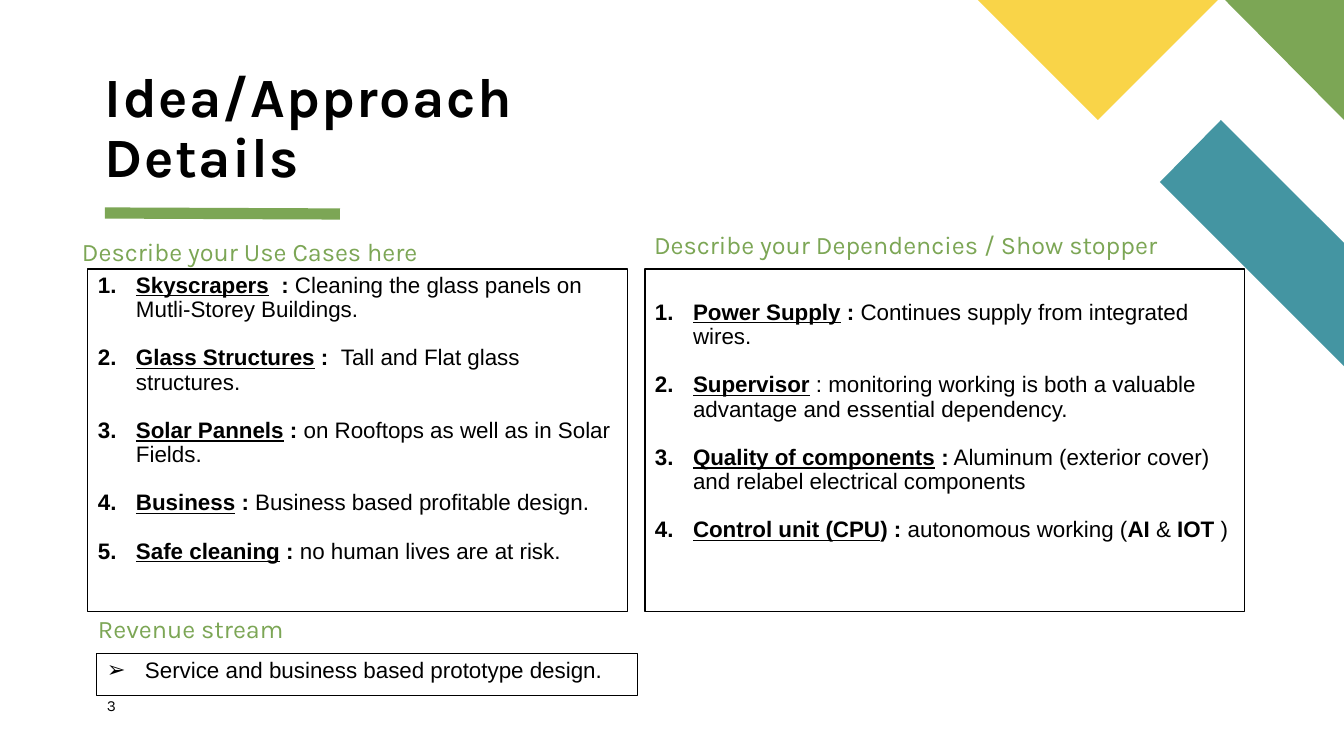
from lxml.etree import SubElement
from pptx import Presentation
from pptx.dml.color import RGBColor as RGB
from pptx.enum.shapes import MSO_CONNECTOR as CONN, MSO_SHAPE as SHAPE
from pptx.enum.text import MSO_ANCHOR as ANCHOR, PP_ALIGN as ALIGN
from pptx.oxml.ns import qn
from pptx.util import Pt

PX = 914400 / 100.8
COLORS = {"green": "7CA655", "teal": "4495A2", "yellow": "F9D448", "black": "000000"}

USE_CASES = [
    [("Skyscrapers", "bu"), ("  :", "b"), (" Cleaning the glass panels on Mutli-Storey Buildings.", "")],
    [("Glass Structures", "bu"), (" :  ", "b"), ("Tall and Flat glass structures.", "")],
    [("Solar Pannels", "bu"), (" : ", "b"), ("on Rooftops as well as in Solar Fields.", "")],
    [("Business", "bu"), (" : ", "b"), ("Business based profitable design.", "")],
    [("Safe cleaning", "bu"), (" : ", "b"), ("no human lives are at risk.", "")],
]
DEPENDENCIES = [
    [("Power Supply", "bu"), (" : ", "b"), ("Continues supply from integrated wires.", "")],
    [("Supervisor", "bu"), (" : monitoring working is both a valuable advantage and essential dependency.", "")],
    [("Quality of components", "bu"), (" :", "b"),
     (" Aluminum (exterior cover) and relabel electrical components", "")],
    [("Control unit (CPU", "bu"), (") : ", "b"), ("autonomous working (", ""),
     ("AI ", "b"), ("& ", ""), ("IOT ", "b"), (")", "")],
]
REVENUE = [[("Service and business based prototype design.", "")]]


def emu(px):
    return round(px * PX)


def rgb(name):
    return RGB.from_string(COLORS[name])


class Deck:
    heading_font = "Karla"
    body_font = "Arial"

    def __init__(self, width, height):
        self.prs = Presentation()
        self.prs.slide_width, self.prs.slide_height = emu(width), emu(height)
        self.s = self.prs.slides.add_slide(self.prs.slide_layouts[6])

    def polygon(self, points, color):
        fb = self.s.shapes.build_freeform(*points[0], scale=PX)
        fb.add_line_segments(points[1:], close=True)
        sp = fb.convert_to_shape()
        sp.shadow.inherit = False
        sp.fill.solid()
        sp.fill.fore_color.rgb = rgb(color)
        sp.line.fill.background()

    def bar(self, x1, y1, x2, y2, color, weight):
        c = self.s.shapes.add_connector(CONN.STRAIGHT, *map(emu, (x1, y1, x2, y2)))
        c.line.color.rgb = rgb(color)
        c.line.width = Pt(weight)
        SubElement(c._element.spPr, qn("a:effectLst"))

    def frame(self, sp, side, top, anchor=ANCHOR.TOP):
        tf = sp.text_frame
        tf.word_wrap = True
        tf.vertical_anchor = anchor
        tf.margin_left = tf.margin_right = emu(side)
        tf.margin_top = tf.margin_bottom = emu(top)
        return tf

    def font(self, r, name, size, color="black", bold=False, underline=False):
        f = r.font
        f.name, f.size, f.bold, f.underline = name, Pt(size), bold, underline
        f.color.rgb = rgb(color)

    def text(self, x, y, w, h, text, size, color="black", bold=False,
             side=0, top=0, anchor=ANCHOR.TOP, tracking=0):
        sp = self.s.shapes.add_textbox(*map(emu, (x, y, w, h)))
        tf = self.frame(sp, side, top, anchor)
        tf.text = text
        p = tf.paragraphs[0]
        p.line_spacing = 0.9
        r = p.runs[0]
        self.font(r, self.heading_font, size, color, bold)
        if tracking:
            r._r.get_or_add_rPr().set("spc", str(tracking))

    def heading(self, x, y, w, text):
        self.text(x, y, w, 35, text, 18, "green", side=10, top=5)

    def list_box(self, x, y, w, h, items, bullet=None, top=5):
        sp = self.s.shapes.add_shape(SHAPE.RECTANGLE, *map(emu, (x, y, w, h)))
        sp.shadow.inherit = False
        sp.fill.background()
        sp.line.color.rgb = rgb("black")
        sp.line.width = Pt(0.75)
        tf = self.frame(sp, 10, top)
        for i, item in enumerate(items):
            p = tf.add_paragraph() if i else tf.paragraphs[0]
            p.alignment = ALIGN.LEFT
            p.line_spacing = 0.9
            p.space_before = Pt(17.3 if i else 0)
            self.bullet(p, bullet)
            for text, style in item:
                r = p.add_run()
                r.text = text
                self.font(r, self.body_font, 16, bold="b" in style, underline="u" in style)

    def bullet(self, p, char):
        pPr = p._p.get_or_add_pPr()
        pPr.set("marL", str(emu(38)))
        pPr.set("indent", str(-emu(38)))
        clr = SubElement(pPr, qn("a:buClr"))
        SubElement(clr, qn("a:srgbClr"), val=COLORS["black"])
        SubElement(pPr, qn("a:buFont"), typeface=self.body_font)
        if char:
            SubElement(pPr, qn("a:buChar"), char=char)
        else:
            SubElement(pPr, qn("a:buAutoNum"), type="arabicPeriod")


def main():
    d = Deck(1344, 756)
    d.bar(105, 213, 340, 214, "green", 8)
    d.polygon([(1344, 366), (1344, 243), (1221, 120), (1160, 182)], "teal")
    d.polygon([(1344, 120), (1344, 0), (1225, 0)], "green")
    d.polygon([(978, 0), (1098, 120), (1218, 0)], "yellow")
    d.text(105, 121, 526, 68, "Idea/Approach Details", 39.6, bold=True,
           anchor=ANCHOR.BOTTOM, tracking=100)
    d.heading(72, 235, 533, "Describe your Use Cases here")
    d.list_box(88, 269, 540, 343, USE_CASES)
    d.heading(644, 228, 615, "Describe your Dependencies / Show stopper")
    d.list_box(645, 269, 600, 343, DEPENDENCIES, top=32)
    d.heading(88, 612, 533, "Revenue stream")
    d.list_box(97, 654, 541, 42, REVENUE, bullet="➢")
    d.text(107, 698, 57, 27, "3", 11)
    d.prs.save("out.pptx")


if __name__ == "__main__":
    main()
